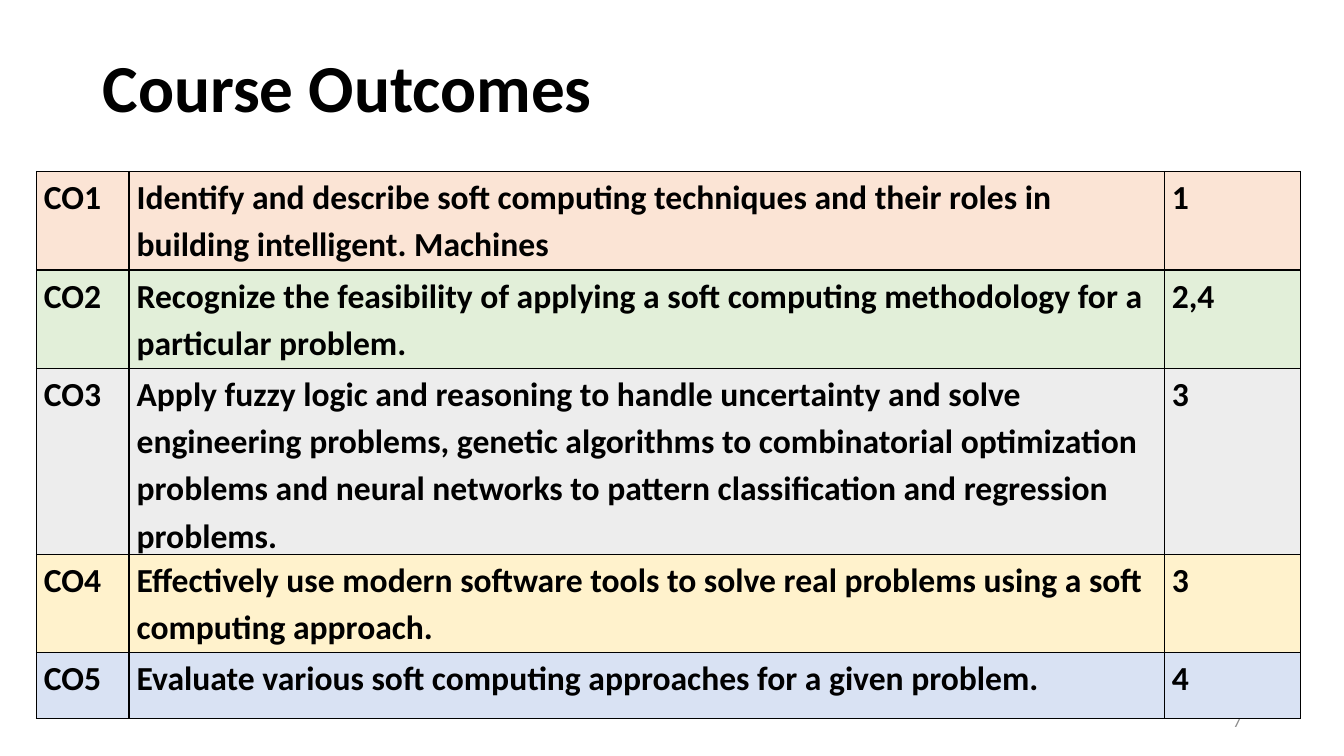
from lxml import etree
from pptx import Presentation
from pptx import util as u
from pptx.dml.color import RGBColor
from pptx.enum import text
from pptx.oxml import ns

BLACK = RGBColor(0x00, 0x00, 0x00)
GREY = RGBColor(0x8C, 0x8C, 0x8C)
PEACH = RGBColor(0xFB, 0xE4, 0xD5)
GREEN = RGBColor(0xE2, 0xEF, 0xD9)
SILVER = RGBColor(0xED, 0xED, 0xED)
YELLOW = RGBColor(0xFF, 0xF2, 0xCC)
BLUE = RGBColor(0xD9, 0xE2, 0xF3)

COLUMN_WIDTHS = [66.24, 739.44, 97.2]
OUTCOMES = [
    (70.5, PEACH, 0, "CO1", "Identify and describe soft computing techniques and their roles in building intelligent. Machines", "1"),
    (70.5, GREEN, 0, "CO2", "Recognize the feasibility of applying a soft computing methodology for a particular problem.", "2,4"),
    (117.5, SILVER, 0, "CO3", "Apply fuzzy logic and reasoning to handle uncertainty and solve engineering problems, "
     "genetic algorithms to combinatorial optimization problems and neural networks to pattern "
     "classification and regression problems.", "3"),
    (70.5, YELLOW, 0, "CO4", "Effectively use modern software tools to solve real problems using a soft computing approach.", "3"),
    (47, BLUE, 10, "CO5", "Evaluate various soft computing approaches for a given problem.", "4"),
]


def add_span(para, wording, size, color, bold):
    span = para.add_run()
    span.text = wording
    span.font.name = "Calibri"
    span.font.size = u.Pt(size)
    span.font.color.rgb = color
    span.font.bold = bold


def add_borders(cell):
    properties = cell._tc.get_or_add_tcPr()
    for position, side in enumerate(("lnL", "lnR", "lnT", "lnB")):
        line = etree.Element(ns.qn(f"a:{side}"), w=str(u.Pt(1)))
        fill = etree.SubElement(line, ns.qn("a:solidFill"))
        etree.SubElement(fill, ns.qn("a:srgbClr"), val=str(BLACK))
        properties.insert(position, line)


deck = Presentation()
deck.slide_width, deck.slide_height = u.Pt(960), u.Pt(540)
page = deck.slides.add_slide(deck.slide_layouts[5])

title = page.shapes.title
title.left, title.top, title.width, title.height = u.Pt(66), u.Pt(36), u.Pt(531.36), u.Pt(58.32)
title.text_frame.vertical_anchor = text.MSO_ANCHOR.BOTTOM
title.text_frame.auto_size = text.MSO_AUTO_SIZE.NONE
para = title.text_frame.paragraphs[0]
para.alignment = text.PP_ALIGN.LEFT
para.line_spacing = 0.9
add_span(para, "Course Outcomes", 48, BLACK, True)

number_box = page.shapes.add_textbox(u.Pt(678), u.Pt(500.5), u.Pt(216), u.Pt(28.75))
number_box.text_frame.word_wrap = True
number_box.text_frame.vertical_anchor = text.MSO_ANCHOR.MIDDLE
para = number_box.text_frame.paragraphs[0]
para.alignment = text.PP_ALIGN.RIGHT
add_span(para, "7", 12, GREY, False)

table = page.shapes.add_table(
    len(OUTCOMES), len(COLUMN_WIDTHS), u.Pt(26), u.Pt(122.4),
    u.Pt(sum(COLUMN_WIDTHS)), u.Pt(sum(outcome[0] for outcome in OUTCOMES))).table
table.first_row = table.horz_banding = False
for column, width in zip(table.columns, COLUMN_WIDTHS):
    column.width = u.Pt(width)

for row, (height, color, description_gap, *wordings) in zip(table.rows, OUTCOMES):
    row.height = u.Pt(height)
    for cell, wording, gap in zip(row.cells, wordings, (10, description_gap, 10)):
        cell.margin_left = cell.margin_right = u.Pt(5.4)
        cell.margin_top = cell.margin_bottom = u.Pt(0)
        cell.fill.solid()
        cell.fill.fore_color.rgb = color
        add_borders(cell)
        para = cell.text_frame.paragraphs[0]
        para.line_spacing = 1.15
        para.space_after = u.Pt(gap)
        add_span(para, wording, 24, BLACK, True)

deck.save("out.pptx")
